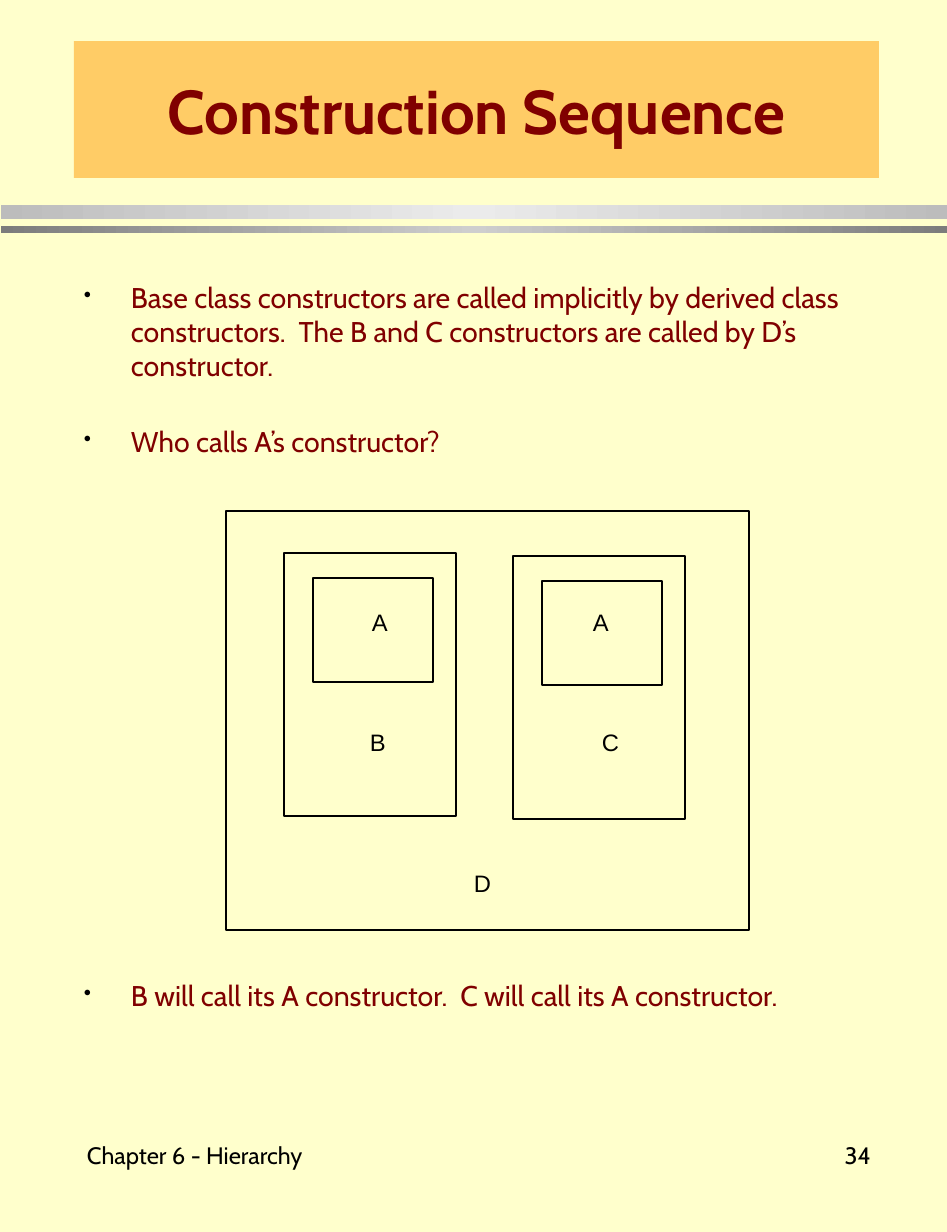
from copy import deepcopy

from lxml.etree import SubElement
from pptx import Presentation
from pptx.dml.color import RGBColor
from pptx.enum.shapes import MSO_SHAPE
from pptx.enum.text import MSO_ANCHOR, MSO_AUTO_SIZE, PP_ALIGN
from pptx.oxml.ns import qn
from pptx.util import Emu, Pt

PX = 8014  # EMU per px
SLIDE_W, SLIDE_H = 947, 1232
PAGE, BAND, INK, MAROON = "FFFFCC", "FFCC66", "000000", "800000"
FONT, LABEL_FONT = "Cabin", "Arial"

TITLE = "Construction Sequence"
TITLE_BOX = (74, 41, 805, 137)

# top, height, edge colour, middle colour
BARS = [
    (205, 14, "BCBCBC", "EBEBEB"),
    (226, 7, "7C7C7C", "CECECE"),
]

# text, points of space before
BULLETS = [
    ("Base class constructors are called implicitly by derived class "
     "constructors.  The B and C constructors are called by D’s constructor.", 0),
    ("Who calls A’s constructor?", 26),
    ("B will call its A constructor.  C will call its A constructor.", 328),
]
BODY_BOX = (71, 274, 804, 821)
BULLET_INDENT = 47

OBJECT_D = (226, 511, 523, 419)
BASES = [(284, 553), (513, 556)]  # B and C, left and top
BASE_SIZE = (172, 263)
INNER_OFFSET, INNER_SIZE = (29, 25), (120, 104)
LABELS = [
    ("A", 359, 602), ("A", 580, 602),
    ("B", 357, 722), ("C", 589, 722),
    ("D", 461, 863),
]
LABEL_SIZE = (42, 41)

FOOTERS = [
    ("Chapter 6 - Hierarchy", (74, 1109, 294, 92), PP_ALIGN.LEFT),
    ("34", (695, 1109, 189, 92), PP_ALIGN.RIGHT),
]


def rgb(color):
    return RGBColor.from_string(color)


def emu(box):
    return [Emu(v * PX) for v in box]


def add_rect(slide, box):
    sp = slide.shapes.add_shape(MSO_SHAPE.RECTANGLE, *emu(box))
    sp.shadow.inherit = False
    return sp


def add_bar(slide, top, height, edge, middle):
    sp = add_rect(slide, (1, top, SLIDE_W - 1, height))
    sp.line.fill.background()
    sp.fill.gradient()
    sp.fill.gradient_angle = 0
    stops = next(sp._element.iter(qn("a:gsLst")))
    stops.append(deepcopy(stops[0]))
    for stop, pos, color in zip(sp.fill.gradient_stops, (0, 0.5, 1),
                                (edge, middle, edge)):
        stop.position = pos
        stop.color.rgb = rgb(color)


def add_frame(slide, box):
    sp = add_rect(slide, box)
    sp.fill.background()
    sp.line.color.rgb = rgb(INK)
    sp.line.width = Pt(1)


def set_frame(tf, anchor=MSO_ANCHOR.TOP):
    tf.word_wrap = True
    tf.auto_size = MSO_AUTO_SIZE.NONE
    tf.vertical_anchor = anchor
    tf.margin_left = tf.margin_right = Emu(13 * PX)
    tf.margin_top = tf.margin_bottom = Emu(6 * PX)


def add_run(p, text, size, font=FONT, color=INK, bold=False):
    r = p.add_run()
    r.text = text
    r.font.name, r.font.size, r.font.bold = font, Pt(size), bold
    r.font.color.rgb = rgb(color)


def add_text(slide, box, anchor=MSO_ANCHOR.TOP):
    tf = slide.shapes.add_textbox(*emu(box)).text_frame
    set_frame(tf, anchor)
    return tf


def set_bullet(p):
    pPr = p._p.get_or_add_pPr()
    pPr.set("marL", str(BULLET_INDENT * PX))
    pPr.set("indent", str(-BULLET_INDENT * PX))
    SubElement(SubElement(pPr, qn("a:buClr")), qn("a:srgbClr"), val=INK)
    SubElement(pPr, qn("a:buSzPct"), val="75000")
    SubElement(pPr, qn("a:buChar"), char="•")


def main():
    prs = Presentation()
    prs.slide_width, prs.slide_height = emu((SLIDE_W, SLIDE_H))
    slide = prs.slides.add_slide(prs.slide_layouts[5])
    slide.background.fill.solid()
    slide.background.fill.fore_color.rgb = rgb(PAGE)

    title = slide.shapes.title
    title.left, title.top, title.width, title.height = emu(TITLE_BOX)
    title.fill.solid()
    title.fill.fore_color.rgb = rgb(BAND)
    set_frame(title.text_frame, MSO_ANCHOR.MIDDLE)
    p = title.text_frame.paragraphs[0]
    p.alignment = PP_ALIGN.CENTER
    add_run(p, TITLE, 39, color=MAROON, bold=True)

    for bar in BARS:
        add_bar(slide, *bar)

    tf = add_text(slide, BODY_BOX)
    for i, (text, gap) in enumerate(BULLETS):
        p = tf.add_paragraph() if i else tf.paragraphs[0]
        set_bullet(p)
        p.space_before = Pt(gap)
        add_run(p, text, 18, color=MAROON)

    add_frame(slide, OBJECT_D)
    dx, dy = INNER_OFFSET
    for x, y in BASES:
        add_frame(slide, (x, y, *BASE_SIZE))
        add_frame(slide, (x + dx, y + dy, *INNER_SIZE))
    for text, x, y in LABELS:
        tf = add_text(slide, (x, y, *LABEL_SIZE))
        add_run(tf.paragraphs[0], text, 15, font=LABEL_FONT)

    for text, box, align in FOOTERS:
        p = add_text(slide, box, MSO_ANCHOR.MIDDLE).paragraphs[0]
        p.alignment = align
        add_run(p, text, 15)

    prs.save("out.pptx")


if __name__ == "__main__":
    main()
